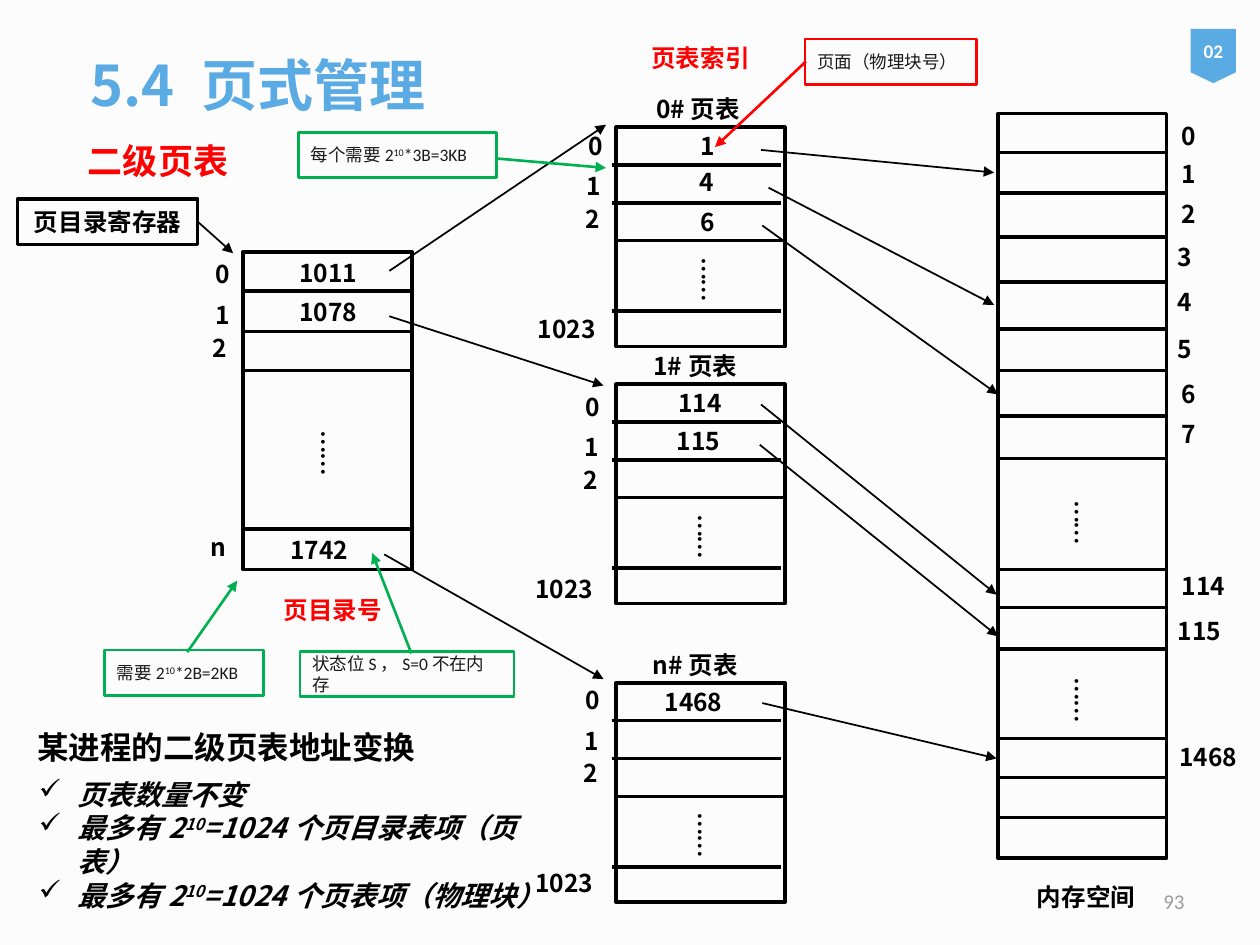
from lxml import etree
from pptx import Presentation
from pptx.dml.color import RGBColor
from pptx.enum.shapes import MSO_CONNECTOR, MSO_SHAPE
from pptx.enum.text import MSO_ANCHOR, MSO_AUTO_SIZE, PP_ALIGN
from pptx.oxml.ns import qn
from pptx.util import Inches, Pt

RECT, CALLOUT = MSO_SHAPE.RECTANGLE, MSO_SHAPE.LINE_CALLOUT_1
TAG = MSO_SHAPE.FLOWCHART_OFFPAGE_CONNECTOR
STRAIGHT = MSO_CONNECTOR.STRAIGHT
TOP, MIDDLE = MSO_ANCHOR.TOP, MSO_ANCHOR.MIDDLE
LEFT, CENTER, RIGHT = PP_ALIGN.LEFT, PP_ALIGN.CENTER, PP_ALIGN.RIGHT
GROW, FIXED = MSO_AUTO_SIZE.SHAPE_TO_FIT_TEXT, MSO_AUTO_SIZE.NONE
CJK, LATIN = "Noto Sans CJK SC", "Calibri"
COLORS = {"black": "000000", "red": "FF0000", "green": "00B050", "blue": "5AAAE4",
          "white": "FFFFFF", "dark": "191919", "gray": "9C9C9C", "paper": "FCFCFC"}


def rgb(name):
    return RGBColor.from_string(COLORS[name])


def write(tf, text, size=14, font=CJK, color="black", bold=True, italic=False,
          align=LEFT, anchor=TOP, bullet=None, indent=0):
    tf.word_wrap = True
    tf.vertical_anchor = anchor
    for i, line in enumerate(text.split("\n")):
        p = tf.add_paragraph() if i else tf.paragraphs[0]
        p.alignment = align
        pPr = p._p.get_or_add_pPr()
        if indent:
            pPr.set("marL", str(Inches(indent)))
        if bullet:
            pPr.set("indent", str(-Inches(indent)))
            etree.SubElement(pPr, qn("a:buChar"), char=bullet)
        for j, part in enumerate(line.split("^")):
            r = p.add_run()
            r.text = part
            r.font.size, r.font.name = Pt(size), font
            r.font.bold, r.font.italic = bold, italic
            r.font.color.rgb = rgb(color)
            rPr = r._r.get_or_add_rPr()
            etree.SubElement(rPr, qn("a:ea"), typeface=font)
            if j % 2:
                rPr.set("baseline", "30000")


class Board:
    def __init__(self, prs):
        self.s = prs.slides.add_slide(prs.slide_layouts[6])
        self.s.background.fill.solid()
        self.s.background.fill.fore_color.rgb = rgb("paper")

    def shape(self, kind, x, y, w, h, line=None, width=2, fill=None):
        sp = self.s.shapes.add_shape(kind, Inches(x), Inches(y), Inches(w), Inches(h))
        sp.shadow.inherit = False
        if fill:
            sp.fill.solid()
            sp.fill.fore_color.rgb = rgb(fill)
        else:
            sp.fill.background()
        if line:
            sp.line.color.rgb = rgb(line)
            sp.line.width = Pt(width)
        else:
            sp.line.fill.background()
        return sp

    def text(self, text, x, y, w, h=0.34, grow=True, vertical=False, **fmt):
        sp = self.s.shapes.add_textbox(Inches(x), Inches(y), Inches(w), Inches(h))
        write(sp.text_frame, text, **fmt)
        sp.text_frame.auto_size = GROW if grow else FIXED
        if vertical:
            sp.text_frame._txBody.bodyPr.set("vert", "eaVert")

    def dots(self, x, y):
        self.text("……", x, y, 0.5, 0.59, vertical=True, size=18, font=LATIN, bold=False)

    def arrowhead(self, sp):
        etree.SubElement(sp.line._get_or_add_ln(), qn("a:tailEnd"), type="triangle")

    def line(self, x1, y1, x2, y2, width=2, arrow=False):
        cn = self.s.shapes.add_connector(
            STRAIGHT, Inches(x1), Inches(y1), Inches(x2), Inches(y2))
        cn.line.color.rgb = rgb("black")
        cn.line.width = Pt(width)
        if arrow:
            self.arrowhead(cn)
        etree.SubElement(cn._element.spPr, qn("a:effectLst"))
        return cn

    def column(self, x, y, h, rules):
        self.shape(RECT, x, y, 1.34, h, "black")
        for rule in rules:
            self.line(x, rule, x + 1.34, rule)

    def page_table(self, name, y, index_x, index_y, dots_x):
        x = 4.89
        self.shape(RECT, x, y, 1.34, 1.74, "black")
        for dx, dy in ((-0.03, 0.3), (-0.03, 0.6), (0, 0.9), (-0.03, 1.46)):
            self.line(x + dx, y + dy, x + dx + 1.34, y + dy)
        for label, dx, dy, w in (("0", 0, 0, 0.47), ("1", -0.01, 0.32, 0.47),
                                 ("2", -0.02, 0.58, 0.47), ("1023", -0.4, 1.45, 0.8)):
            self.text(label, index_x + dx, index_y + dy, w)
        self.text(name, index_x + 0.1, y - 0.31, 1.74, align=CENTER)
        self.dots(dots_x, y + 0.94)

    def callout(self, text, x, y, w, color, adjustments):
        sp = self.shape(CALLOUT, x, y, w, 0.36, color, 1.5)
        for i, value in enumerate(adjustments):
            sp.adjustments[i] = value
        self.arrowhead(sp)
        write(sp.text_frame, text, size=10, font=LATIN, color="dark", bold=False,
              anchor=MIDDLE)


def main():
    prs = Presentation()
    prs.slide_width, prs.slide_height = Inches(10), Inches(7.5)
    b = Board(prs)

    tag = b.shape(TAG, 9.45, 0.23, 0.36, 0.43, fill="blue")
    tag.text_frame.margin_left = tag.text_frame.margin_right = 0
    write(tag.text_frame, "02", size=11, font=LATIN, color="white", align=CENTER,
          anchor=MIDDLE)
    b.text("5.4 页式管理", 0.62, 0.04, 9, 1.25, grow=False, size=32, color="blue",
           anchor=MIDDLE)
    b.text("二级页表", 0.34, 0.65, 2.37, 1.25, grow=False, size=20, color="red",
           anchor=MIDDLE, indent=0.26)

    b.column(1.93, 2, 2.52, (2.31, 2.63, 2.94, 4.2))
    b.dots(2.35, 3.33)
    for label, x, y in (("0", 1.61, 2.01), ("1", 1.61, 2.33), ("2", 1.59, 2.59),
                        ("n", 1.57, 4.17)):
        b.text(label, x, y, 0.47)

    for table in (("0#页表", 1.01, 4.57, 0.99, 5.37), ("1#页表", 3.05, 4.55, 3.06, 5.34),
                  ("n#页表", 5.42, 4.55, 5.39, 5.34)):
        b.page_table(*table)

    b.column(7.92, 0.9, 5.91, (1.21, 1.53, 1.88, 2.24, 2.61, 2.94, 3.3, 3.64,
                               4.52, 4.82, 5.15, 5.86, 6.17, 6.49))
    for y in (3.88, 5.29):
        b.dots(8.33, y)
    for label, x, y in (("0", 9.28, 0.91), ("1", 9.28, 1.21), ("2", 9.28, 1.53),
                        ("3", 9.25, 1.87), ("4", 9.25, 2.23), ("5", 9.25, 2.6),
                        ("6", 9.28, 2.96), ("7", 9.28, 3.28), ("114", 9.28, 4.48),
                        ("115", 9.25, 4.84), ("1468", 9.26, 5.84)):
        b.text(label, x, y, 0.47 if len(label) == 1 else 0.72)

    for entry, x, y in (("1011", 2.25, 2), ("1078", 2.25, 2.31), ("1742", 2.18, 4.2),
                        ("1", 5.26, 0.99), ("4", 5.25, 1.28), ("6", 5.26, 1.59),
                        ("114", 5.2, 3.03), ("115", 5.19, 3.33), ("1468", 5.15, 5.4)):
        b.text(entry, x, y, 0.71, align=CENTER)

    for ends in ((3.09, 2.15, 4.81, 0.99), (3.09, 2.51, 4.79, 3.06),
                 (3.05, 4.4, 4.79, 5.39), (6.04, 1.19, 7.89, 1.37),
                 (6.1, 1.49, 7.89, 2.42), (6.05, 1.79, 7.92, 3.13),
                 (6.04, 3.21, 7.91, 4.72), (6.03, 3.53, 7.92, 5.05),
                 (6.05, 5.58, 7.91, 6.02)):
        b.line(*ends, width=1, arrow=True)

    register = b.shape(RECT, 0.14, 1.58, 1.43, 0.36, "black")
    write(register.text_frame, "页目录寄存器", align=CENTER, anchor=MIDDLE)
    b.line(1.57, 1.76, 1.85, 2.01, width=1, arrow=True).begin_connect(register, 3)

    for caption, x, y, color in (("页目录号", 1.77, 4.67, "red"),
                                 ("页表索引", 4.69, 0.29, "red"),
                                 ("内存空间", 7.75, 6.95, "black")):
        b.text(caption, x, y, 1.74, color=color, align=CENTER)

    b.text("某进程的二级页表地址变换", 0.07, 5.73, 3.45, 0.4, size=18, align=CENTER)
    b.text("页表数量不变\n最多有2^10^=1024个页目录表项（页表）\n最多有2^10^=1024个页表项（物理块）",
           0.21, 6.12, 4.21, 0.91, size=16, italic=True, bullet="✓", indent=0.31)
    b.text("93", 7.17, 6.95, 2.33, 0.4, grow=False, size=12, font=LATIN, color="gray",
           bold=False, align=RIGHT, anchor=MIDDLE)

    for note in (("页面（物理块号）", 6.39, 0.31, 1.36, "red", (0.5, 0.004, 2.384, -0.526)),
                 ("需要2^10^*2B=2KB", 0.83, 5.16, 1.26, "green", (0.046, 0.521, -1.532, 0.836)),
                 ("每个需要2^10^*3B=3KB", 2.37, 1.05, 1.57, "green", (0.581, 1.006, 0.787, 1.554)),
                 ("状态位S，S=0不在内存", 2.38, 5.17, 1.7, "green", (0.046, 0.521, -2.169, 0.338))):
        b.callout(*note)

    prs.save("out.pptx")


if __name__ == "__main__":
    main()
